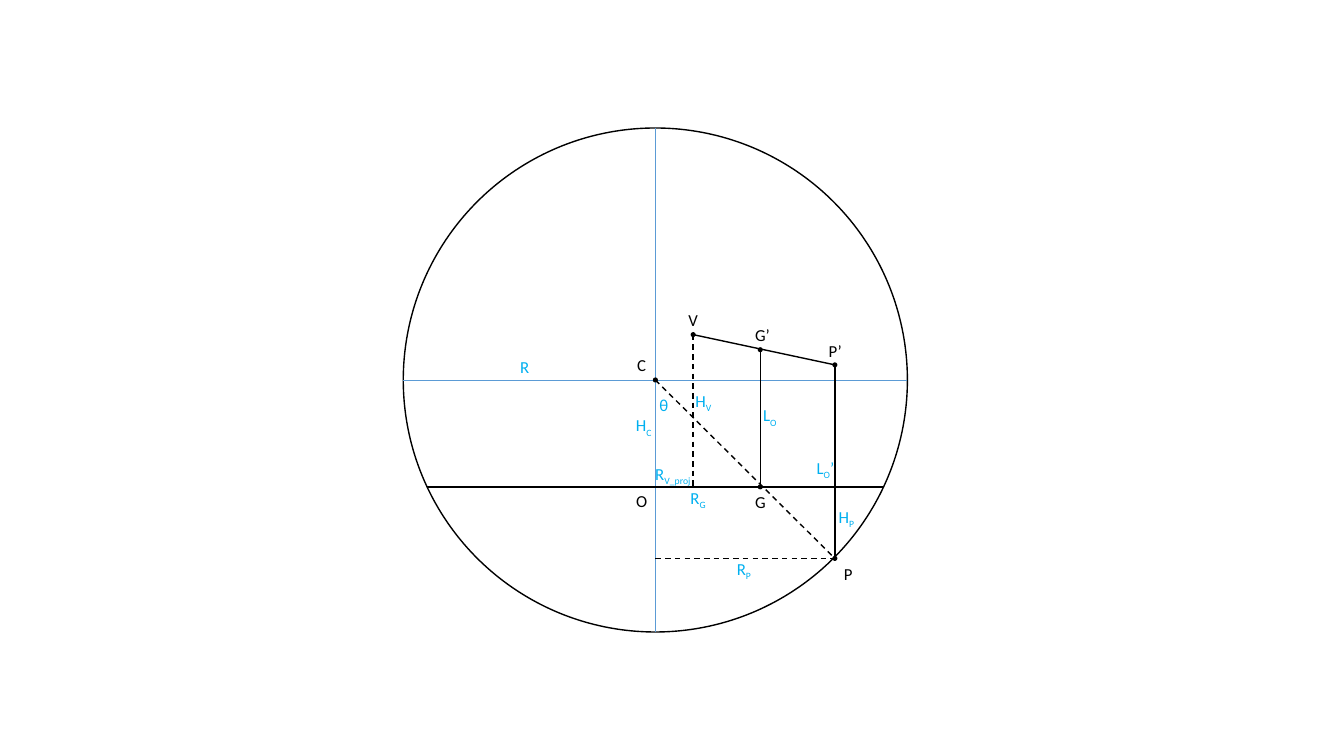
import math
from dataclasses import dataclass

from lxml import etree
from pptx import Presentation
from pptx.dml.color import RGBColor
from pptx.enum.dml import MSO_LINE
from pptx.enum.shapes import MSO_CONNECTOR, MSO_SHAPE
from pptx.enum.text import MSO_AUTO_SIZE
from pptx.oxml.ns import qn
from pptx.util import Inches, Pt

OVAL = MSO_SHAPE.OVAL
STRAIGHT = MSO_CONNECTOR.STRAIGHT
DASH = MSO_LINE.DASH
FIT_TEXT = MSO_AUTO_SIZE.SHAPE_TO_FIT_TEXT

# The page is a fine grid of columns and rows
COLUMNS, ROWS = 1333, 750
CELL = Inches(0.01)


@dataclass(frozen=True)
class Theme:
    font: str = "Calibri"
    size: int = 12
    ink: str = "000000"
    axis: str = "5B9BD5"
    measure: str = "00B0F0"
    thin: float = 0.5
    normal: float = 1
    dot: int = 5
    label_height: int = 30
    subscript: str = "-25000"


THEME = Theme()

# Construction: circle, its chord, and the points of the figure
RADIUS = 250
CENTRE_X, CENTRE_Y = 650, 377
CHORD_Y = 483
HALF_CHORD = math.sqrt(RADIUS ** 2 - (CHORD_Y - CENTRE_Y) ** 2)
POINTS = {
    "C": (CENTRE_X, CENTRE_Y),
    "V": (687.5, 332),
    "G": (754, CHORD_Y),
    "G’": (754, 347),
    "P": (828, 554),
    "P’": (828, 362),
}

# Labels: text, left, top, width
POINT_LABELS = [
    ("C", 622, 347, 29), ("G", 739, 483, 31), ("P", 827, 554, 29),
    ("V", 673, 302, 30), ("G’", 739, 317, 35), ("P’", 812, 333, 34),
    ("O", 621, 482, 31),
]
# Labels: text, subscript, tail, left, top, width
MEASURE_LABELS = [
    ("θ", "", "", 644, 387, 29), ("R", "", "", 506, 349, 29),
    ("H", "C", "", 621, 407, 37), ("H", "V", "", 680, 383, 37),
    ("H", "P", "", 822, 498, 36), ("L", "O", "", 747, 397, 34),
    ("L", "O", "’", 800, 449, 38), ("R", "V_proj", "", 640, 455, 59),
    ("R", "G", "", 675, 479, 36), ("R", "P", "", 721, 549, 35),
]


def cells(*counts):
    return [round(count * CELL) for count in counts]


def colour(code):
    return RGBColor.from_string(code)


def add_circle(page, centre, radius, filled=False):
    x, y = centre
    circle = page.shapes.add_shape(
        OVAL, *cells(x - radius, y - radius, 2 * radius, 2 * radius))
    circle.shadow.inherit = False
    if filled:
        circle.fill.solid()
        circle.fill.fore_color.rgb = colour(THEME.ink)
        circle.line.fill.background()
    else:
        circle.fill.background()
        circle.line.color.rgb = colour(THEME.ink)
        circle.line.width = Pt(THEME.normal)


def add_line(page, start, end, code=THEME.ink, width=THEME.normal, dash=None):
    line = page.shapes.add_connector(STRAIGHT, *cells(*start, *end))
    line.line.color.rgb = colour(code)
    for name, value in {"width": Pt(width), "dash_style": dash}.items():
        setattr(line.line, name, value)
    properties = line._element.find(qn("p:spPr"))
    etree.SubElement(properties, qn("a:effectLst"))


def add_label(page, parts, left, top, width, code):
    box = page.shapes.add_textbox(*cells(left, top, width, THEME.label_height))
    frame = box.text_frame
    for name, value in {"word_wrap": False, "auto_size": FIT_TEXT}.items():
        setattr(frame, name, value)
    para = frame.paragraphs[0]
    for index, text in enumerate(parts):
        if not text:
            continue
        span = para.add_run()
        span.text = text
        for name, value in {"name": THEME.font, "size": Pt(THEME.size)}.items():
            setattr(span.font, name, value)
        span.font.color.rgb = colour(code)
        if index == 1:
            span.font._element.set("baseline", THEME.subscript)


def main():
    deck = Presentation()
    deck.slide_width, deck.slide_height = cells(COLUMNS, ROWS)
    page = deck.slides.add_slide(deck.slide_layouts[6])

    # Circle, axes and chord
    add_circle(page, POINTS["C"], RADIUS)
    for dx, dy in ((RADIUS, 0), (0, RADIUS)):
        add_line(page, (CENTRE_X - dx, CENTRE_Y - dy),
                 (CENTRE_X + dx, CENTRE_Y + dy), THEME.axis, THEME.thin)
    add_line(page, (CENTRE_X - HALF_CHORD, CHORD_Y),
             (CENTRE_X + HALF_CHORD, CHORD_Y))

    # Solid links between points
    for start, end in (("G", "G’"), ("P", "P’"), ("P’", "V")):
        add_line(page, POINTS[start], POINTS[end])

    # Dashed radius and projections
    vertex, edge = POINTS["V"], POINTS["P"]
    for start, end in ((POINTS["C"], edge),
                       (vertex, (vertex[0], CHORD_Y)),
                       ((CENTRE_X, edge[1]), edge)):
        add_line(page, start, end, dash=DASH)

    # Points
    for point in POINTS.values():
        add_circle(page, point, THEME.dot / 2, filled=True)

    # Labels
    for text, *place in POINT_LABELS:
        add_label(page, [text], *place, THEME.ink)
    for text, subscript, tail, *place in MEASURE_LABELS:
        add_label(page, [text, subscript, tail], *place, THEME.measure)

    deck.save("out.pptx")


main()
